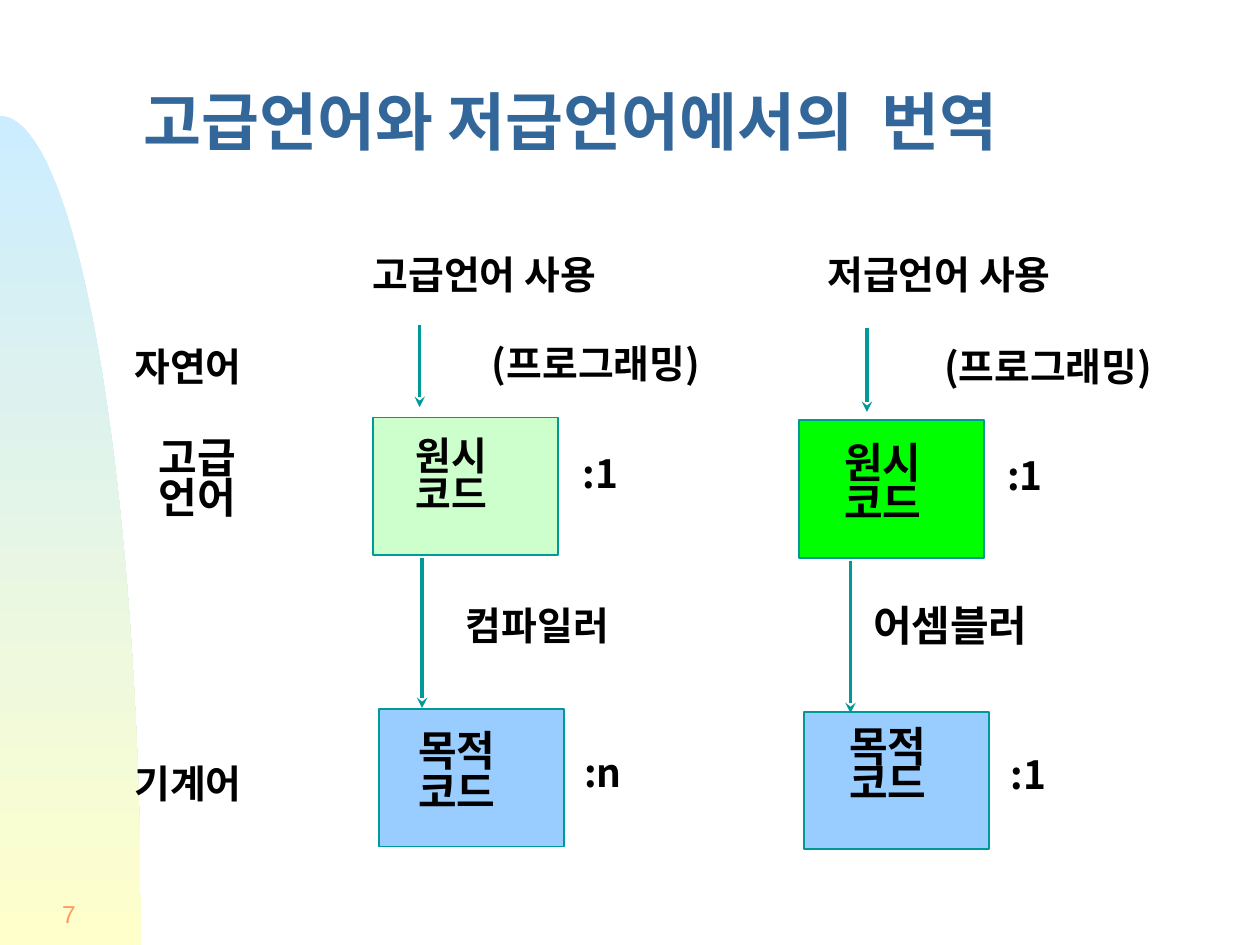
"""Build the slide on translating high-level and low-level languages."""
import math

import pptx
import pptx.dml.color
import pptx.enum.dml
import pptx.enum.shapes
import pptx.enum.text
import pptx.oxml
import pptx.oxml.ns
import pptx.util

Pt = pptx.util.Pt
RGBColor = pptx.dml.color.RGBColor
LEFT = pptx.enum.text.PP_ALIGN.LEFT
CENTER = pptx.enum.text.PP_ALIGN.CENTER
RIGHT = pptx.enum.text.PP_ALIGN.RIGHT

SKY = RGBColor(0xCC, 0xEC, 0xFF)
CREAM = RGBColor(0xFF, 0xFF, 0xCC)
ORANGE = RGBColor(0xFF, 0x99, 0x66)
NAVY = RGBColor(0x33, 0x66, 0x99)
INK = RGBColor(0x01, 0x00, 0x00)
TEAL = RGBColor(0x00, 0x99, 0x99)
MINT = RGBColor(0xCC, 0xFF, 0xCC)
GREEN = RGBColor(0x00, 0xFF, 0x00)
BLUE = RGBColor(0x99, 0xCC, 0xFF)
KOREAN = "Noto Sans CJK KR"

deck = pptx.Presentation()
deck.slide_width, deck.slide_height = Pt(720), Pt(540)
page = deck.slides.add_slide(deck.slide_layouts[6])


def add_text(place, lines, size=22.2, align=LEFT, spacing=0.9, font=KOREAN,
             color=INK, bold=True, hanging=27, middle=False):
    box = page.shapes.add_textbox(*map(Pt, place))
    frame = box.text_frame
    frame.word_wrap = True
    if middle:
        frame.vertical_anchor = pptx.enum.text.MSO_ANCHOR.MIDDLE
    for number, pieces in enumerate(lines):
        para = frame.add_paragraph() if number else frame.paragraphs[0]
        para.alignment = align
        para.line_spacing = spacing
        if hanging:
            properties = para._p.get_or_add_pPr()
            properties.set("marL", str(Pt(hanging)))
            properties.set("indent", str(-Pt(hanging)))
        for piece in pieces:
            span = para.add_run()
            span.text = piece
            span.font.size = Pt(size)
            span.font.bold = bold
            span.font.name = font
            span.font.color.rgb = color
            east_asian = pptx.oxml.parse_xml(
                f'<a:ea {pptx.oxml.ns.nsdecls("a")} typeface="{KOREAN}"/>')
            span.font._element.append(east_asian)
    return box


arc_width, arc_top, arc_steps = 80.6, 66.2, 60
outline = page.shapes.build_freeform(Pt(0), Pt(arc_top))
angles = [math.pi / 2 * step / arc_steps for step in range(1, arc_steps + 1)]
outline.add_line_segments(
    [(Pt(arc_width * math.sin(angle)), Pt(540 - (540 - arc_top) * math.cos(angle)))
     for angle in angles] + [(Pt(0), Pt(540))], close=True)
curve = outline.convert_to_shape()
curve.shadow.inherit = False
curve.line.fill.background()
curve.fill.gradient()
curve.fill.gradient_angle = 270
for stop, color in zip(curve.fill.gradient_stops, (SKY, CREAM)):
    stop.color.rgb = color

add_text((0, 504, 50.4, 36), [["7"]], size=14, align=RIGHT, spacing=1.0, font="Arial",
         color=ORANGE, bold=False, hanging=0, middle=True)
title = add_text((74.9, 39.6, 631.4, 69.1), [["고급언어와 저급언어에서의", " ", "번역"]], size=36,
                 spacing=0.7, font="Arial Narrow", color=NAVY, hanging=0, middle=True)
wide_gap = title.text_frame.paragraphs[0].runs[1]
wide_gap.font._element.set("spc", "820")

for left, top, color in (
    (213.1, 238.5, MINT), (216.4, 405.3, BLUE),
    (456.5, 240.2, GREEN), (459.4, 406.8, BLUE),
):
    block = page.shapes.add_shape(pptx.enum.shapes.MSO_SHAPE.RECTANGLE,
                                  Pt(left), Pt(top), Pt(105.8), Pt(78.5))
    block.shadow.inherit = False
    block.fill.solid()
    block.fill.fore_color.rgb = color
    block.line.color.rgb = TEAL
    block.line.width = Pt(1)

for x, top, bottom in (
    (239.8, 185.8, 232.6), (241.2, 319, 404.6),
    (495.4, 187.2, 235.4), (486, 320.4, 407.5),
):
    arrow = page.shapes.add_connector(pptx.enum.shapes.MSO_CONNECTOR.STRAIGHT,
                                      Pt(x), Pt(top), Pt(x), Pt(bottom))
    arrow.line.color.rgb = TEAL
    arrow.line.width = Pt(2)
    namespace = pptx.oxml.ns.nsdecls("a")
    arrow.line._get_or_add_ln().append(
        pptx.oxml.parse_xml(f'<a:tailEnd {namespace} type="stealth"/>'))
    arrow._element.spPr.append(pptx.oxml.parse_xml(f"<a:effectLst {namespace}/>"))

for left, top, width, label in (
    (159.1, 142.6, 235.4, "고급언어 사용"), (419, 142.6, 235.4, "저급언어 사용"),
    (232.6, 193.7, 216, "(프로그래밍)"), (491, 195.1, 216, "(프로그래밍)"),
    (313.9, 256.3, 58.3, ":1"), (556.6, 257.8, 58.3, ":1"),
    (315.4, 427, 58.3, ":n"), (558.7, 428.4, 58.3, ":1"),
    (244.8, 343.4, 124.6, "컴파일러"),
):
    add_text((left, top, width, 34.6), [[label]], align=CENTER)

for top, label in ((195.1, "자연어"), (433.4, "기계어")):
    add_text((69.8, top, 126, 34.6), [[label]])
add_text((491.8, 339.1, 190.8, 38.9), [["어셈블러"]], size=24, spacing=1.0)

for place, first, second, size, spacing in (
    ((83.5, 248.4, 79.2, 67), "고급", "언어", 24, 0.8),
    ((230.4, 248.4, 69.8, 54), "원시", "코드", 22.2, 0.8),
    ((231.8, 416.2, 65.5, 56.9), "목적", "코드", 24, 0.8),
    ((475.2, 251.3, 64.1, 56.9), "원시", "코드", 24, 0.8),
    ((478.1, 416.2, 72, 53.3), "목적", "코드", 24, 0.7),
):
    add_text(place, [[first], [second]], size=size, spacing=spacing)

deck.save("out.pptx")
